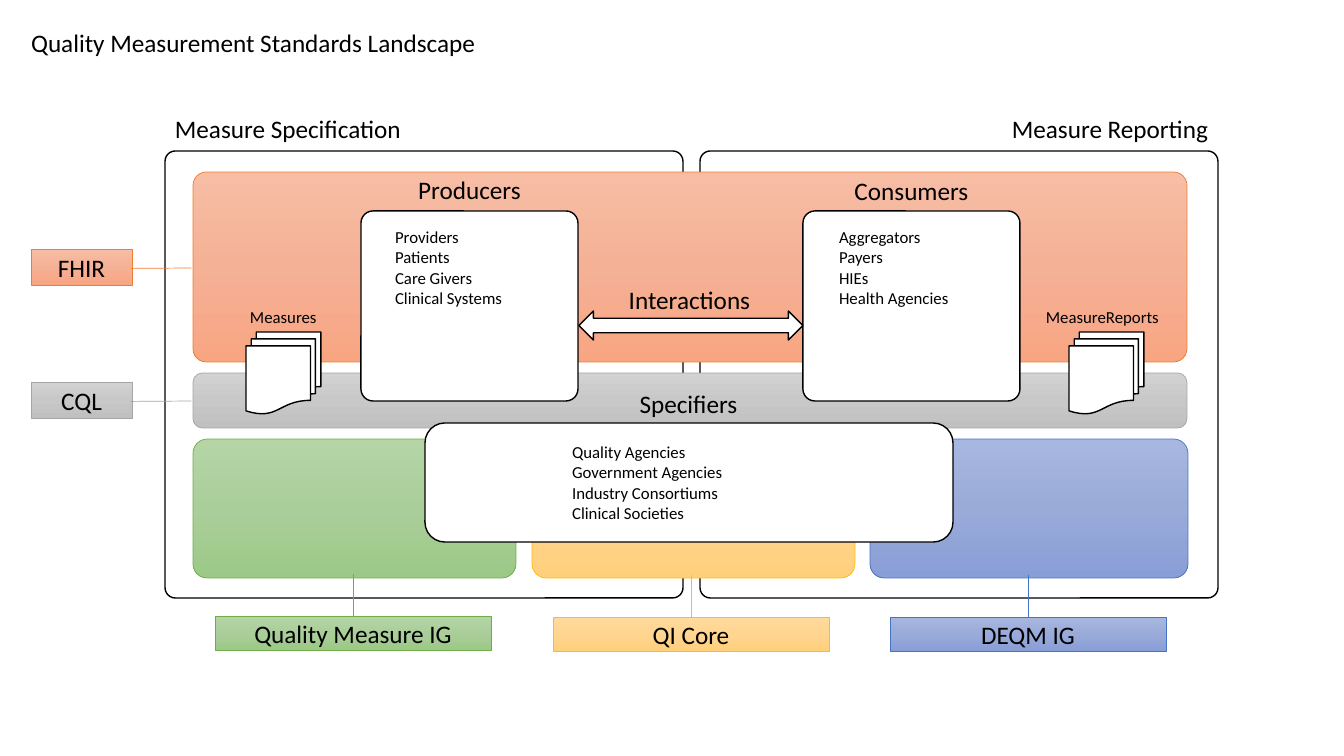
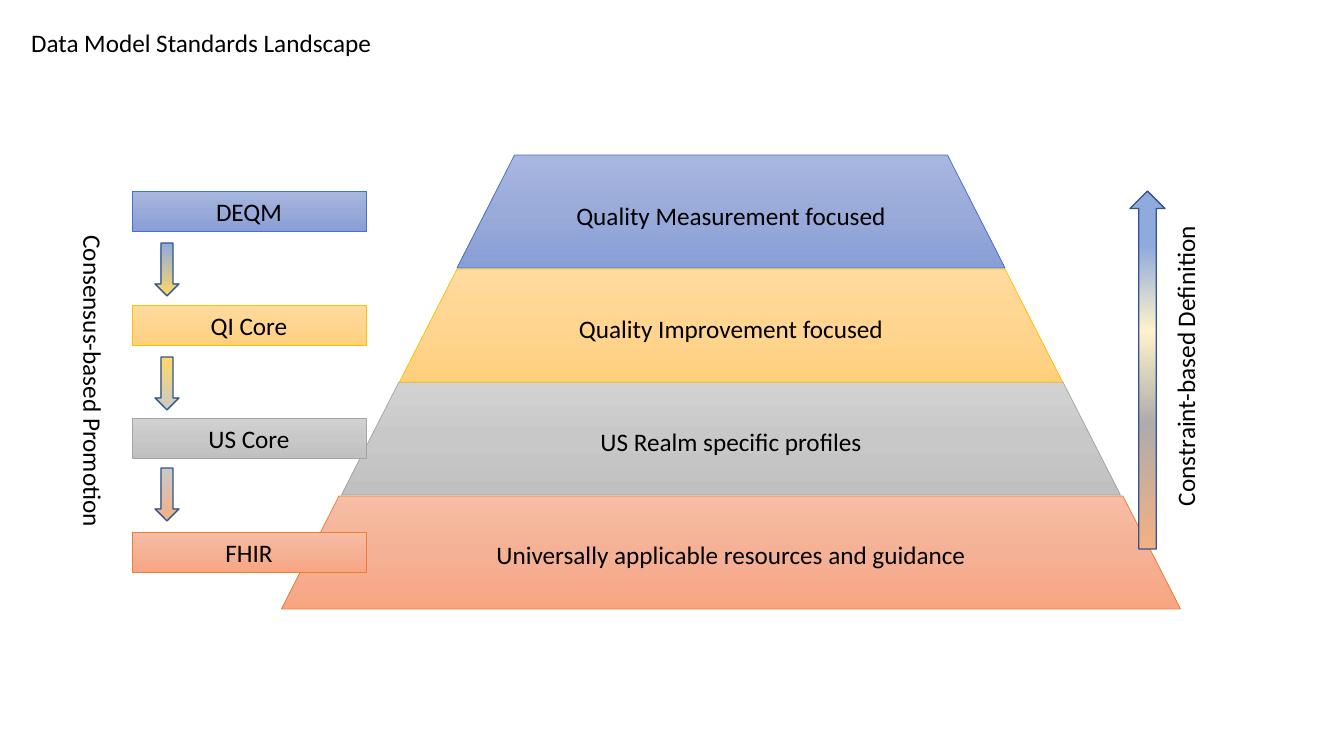
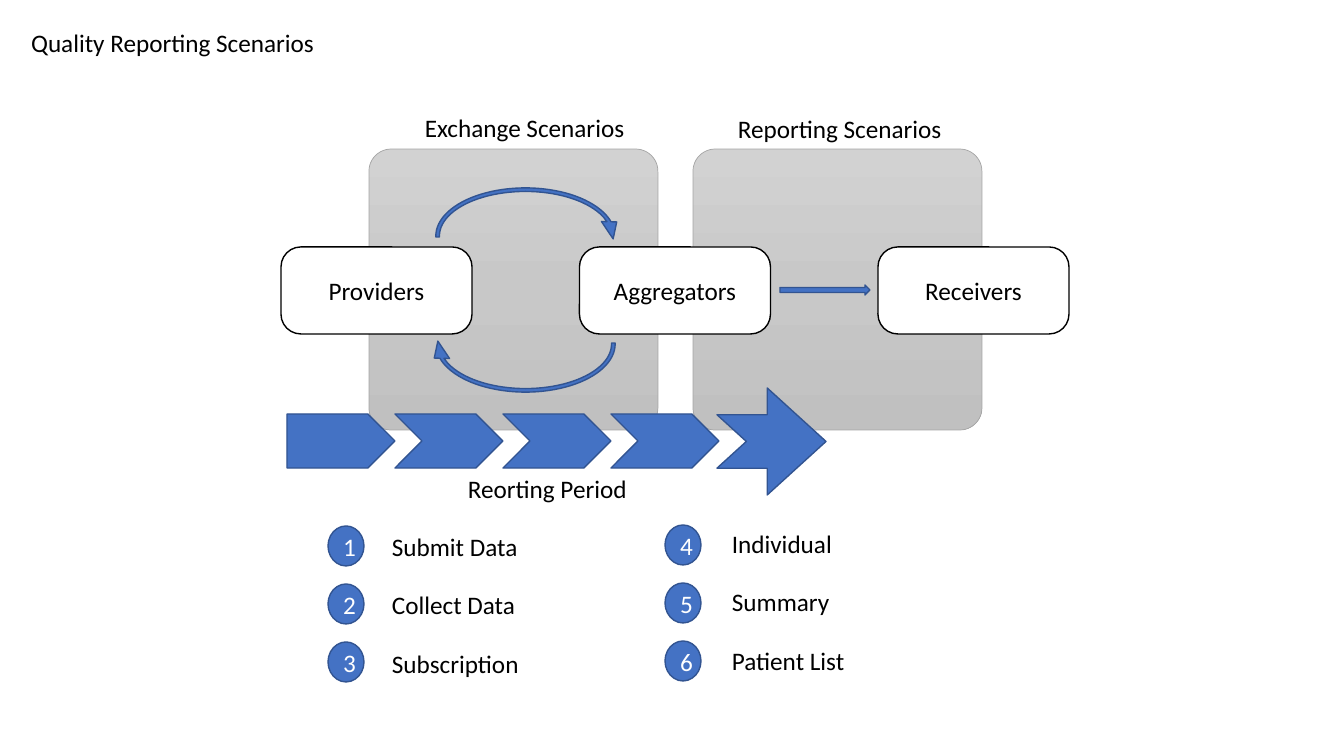
from dataclasses import dataclass

from lxml import etree
from pptx import Presentation
from pptx import util as u
from pptx.dml import color
from pptx.enum import shapes, text
from pptx.oxml import ns

KIND = shapes.MSO_SHAPE
ALIGN = text.PP_ALIGN


# Theme: every colour and type size
@dataclass(frozen=True)
class Tone:
    fill: tuple  # gradient stops: (percent, colour)
    line: str
    weight: float = 0.5
    ink: str = "000000"


def shade(top, middle, bottom, line):
    return Tone(((0, top), (50, middle), (100, bottom)), line)


@dataclass(frozen=True)
class Theme:
    font: str = "Calibri"
    ink: str = "000000"
    size: int = 18
    small: int = 12
    orange: Tone = shade("F7BDA5", "F5B196", "F8A582", "ED7D31")
    grey: Tone = shade("D2D2D2", "C8C8C8", "C0C0C0", "A5A5A5")
    gold: Tone = shade("FFDB9E", "FFD590", "FFD07C", "FFC000")
    green: Tone = shade("B5D5A7", "AACE9A", "9CC987", "70AD47")
    blue: Tone = shade("A8B7DF", "9AABD9", "889ED7", "4472C4")
    white: Tone = Tone(((0, "FFFFFF"),), "000000", 1)
    solid: Tone = Tone(((0, "4472C4"),), "325491", 1, "FFFFFF")

    def blend(self, *stops):
        return Tone(stops, self.solid.line, self.solid.weight)


T = Theme()


def px(n):
    return u.Emu(round(n * 914400 / 100.8))


def rgb(value):
    return color.RGBColor.from_string(value)


class Deck:
    """Holds the style and the current slide."""

    def __init__(self, theme):
        self.theme = theme
        self.prs = Presentation()
        self.prs.slide_width, self.prs.slide_height = px(1344), px(756)

    def slide(self, title, width, layout="Title Only"):
        self.s = self.prs.slides.add_slide(
            self.prs.slide_layouts.get_by_name(layout))
        self.bodies = [b for b in self.s.placeholders
                       if b.placeholder_format.idx > 0]
        sp = self.s.shapes.title
        self.place(sp, 21, 22, width, 40)
        self.set_text(sp, [title], wrap=False)

    def place(self, sp, x, y, w, h):
        sp.left, sp.top, sp.width, sp.height = px(x), px(y), px(w), px(h)

    def set_text(self, sp, lines, size=None, align=ALIGN.LEFT, ink=None,
                 anchor=text.MSO_ANCHOR.TOP, wrap=True):
        tf = sp.text_frame
        tf.word_wrap, tf.vertical_anchor = wrap, anchor
        tf.auto_size = text.MSO_AUTO_SIZE.NONE
        if not wrap:
            tf.auto_size = text.MSO_AUTO_SIZE.SHAPE_TO_FIT_TEXT
        for i, line in enumerate(lines):
            p = tf.add_paragraph() if i else tf.paragraphs[0]
            p.alignment = align
            p.space_before, p.line_spacing = u.Pt(0), 1.0
            r = p.add_run()
            r.text = line
            r.font.name, r.font.bold = self.theme.font, False
            r.font.size = u.Pt(size or self.theme.size)
            r.font.color.rgb = rgb(ink or self.theme.ink)

    def label(self, words, x, y, w, h=40, size=None, align=ALIGN.LEFT,
              wrap=True, turn=0):
        sp = self.s.shapes.add_textbox(px(x), px(y), px(w), px(h))
        sp.rotation = turn
        self.set_text(sp, [words], size, align, wrap=wrap)

    def listing(self, lines, x, y, w, h):
        sp = self.bodies.pop(0)
        self.s.shapes._spTree.append(sp._element)  # bring to front
        self.place(sp, x, y, w, h)
        self.set_text(sp, lines, self.theme.small)
        for p in sp.text_frame.paragraphs:
            pPr = p._p.get_or_add_pPr()
            pPr.set("marL", "0")
            pPr.set("indent", "0")
            etree.SubElement(pPr, ns.qn("a:buNone"))

    def shape(self, kind, x, y, w, h, tone, words=None, adj=(), turn=0):
        sp = self.s.shapes.add_shape(kind, px(x), px(y), px(w), px(h))
        sp.shadow.inherit = False
        sp.rotation = turn
        for i, value in enumerate(adj):
            sp.adjustments[i] = value
        self.paint(sp, tone)
        if words:
            self.set_text(sp, [words], align=ALIGN.CENTER, ink=tone.ink,
                          anchor=text.MSO_ANCHOR.MIDDLE)

    def paint(self, sp, tone):
        sp.line.color.rgb, sp.line.width = rgb(tone.line), u.Pt(tone.weight)
        if len(tone.fill) == 1:
            sp.fill.solid()
            sp.fill.fore_color.rgb = rgb(tone.fill[0][1])
            return
        sp.fill.gradient()
        sp.fill.gradient_angle = 270
        stops = sp._element.spPr.find(".//" + ns.qn("a:gsLst"))
        for old in list(stops):
            stops.remove(old)
        for percent, value in tone.fill:
            gs = etree.SubElement(stops, ns.qn("a:gs"), pos=str(percent * 1000))
            etree.SubElement(gs, ns.qn("a:srgbClr"), val=value)

    def finish(self):
        for sp in self.bodies:
            sp._element.getparent().remove(sp._element)
        self.bodies = []


d = Deck(T)

# Slide 1: measurement standards
d.slide("Quality Measurement Standards Landscape", 470, "Comparison")

# Frames and coloured bands
for x in (165, 700):
    d.shape(KIND.ROUNDED_RECTANGLE, x, 151, 518, 447, T.white, adj=[0.023])
for x, y, w, h, tone, corner in (
        (193, 373, 994, 55, T.grey, 0.167), (870, 439, 318, 139, T.blue, 0.103),
        (532, 439, 323, 139, T.gold, 0.103), (193, 439, 323, 139, T.green, 0.103),
        (193, 172, 994, 190, T.orange, 0.071)):
    d.shape(KIND.ROUNDED_RECTANGLE, x, y, w, h, tone, adj=[corner])
d.label("Measure Specification", 165, 108, 338)
d.label("Measure Reporting", 938, 108, 280, align=ALIGN.RIGHT)

# Producers, consumers and their interactions
for name, x, y, list_x, members in (
        ("Producers", 361, 169, 385,
         ["Providers", "Patients", "Care Givers", "Clinical Systems"]),
        ("Consumers", 803, 170, 829,
         ["Aggregators", "Payers", "HIEs", "Health Agencies"])):
    d.shape(KIND.ROUNDED_RECTANGLE, x, 211, 217, 190, T.white, adj=[0.063])
    d.label(name, x, y, 217, align=ALIGN.CENTER)
    d.listing(members, list_x, 222, 137, 92)
d.shape(KIND.LEFT_RIGHT_ARROW, 579, 311, 224, 29, T.white)
d.label("Interactions", 611, 279, 157, align=ALIGN.CENTER)

# Documents
for name, x, label_x, label_w in (("Measures", 246, 240, 88),
                                  ("MeasureReports", 1069, 1036, 142)):
    d.shape(KIND.FLOWCHART_MULTIDOCUMENT, x, 332, 75, 82, T.white)
    d.label(name, label_x, 302, label_w, 30, T.small)

# Specifiers
d.shape(KIND.ROUNDED_RECTANGLE, 425, 423, 528, 119, T.white)
d.label("Specifiers", 580, 383, 217, align=ALIGN.CENTER)
d.listing(["Quality Agencies", "Government Agencies", "Industry Consortiums",
           "Clinical Societies"], 562, 437, 217, 92)

# Callouts naming the standards
SIDE, UP = (0.54, 0.986, 0.529, 1.589), (0.001, 0.5, -1.238, 0.5)
for name, x, y, w, h, tone, leader in (
        ("FHIR", 31, 249, 101, 36, T.orange, SIDE),
        ("CQL", 31, 382, 101, 36, T.grey, SIDE),
        ("Quality Measure IG", 215, 616, 276, 34, T.green, UP),
        ("QI Core", 553, 617, 276, 34, T.gold, UP),
        ("DEQM IG", 890, 617, 276, 34, T.blue, UP)):
    d.shape(KIND.LINE_CALLOUT_1, x, y, w, h, tone, name, leader)
d.finish()

# Slide 2: data model standards
d.slide("Data Model Standards Landscape", 365)

# Pyramid tiers with their standard, bottom first
for y, w, tone, focus, standard in (
        (496, 899, T.orange, "Universally applicable resources and guidance", "FHIR"),
        (382, 779, T.grey, "US Realm specific profiles", "US Core"),
        (269, 663, T.gold, "Quality Improvement focused", "QI Core"),
        (155, 548, T.blue, "Quality Measurement focused", "DEQM")):
    d.shape(KIND.TRAPEZOID, 731 - w / 2, y, w, 113, tone, focus, [0.509])
    d.shape(KIND.RECTANGLE, 132, y + 36, 234, 40, tone, standard)

# Definition arrow, promotion arrows
d.shape(KIND.DOWN_ARROW, 1130, 191, 35, 358,
        T.blend((0, "F4B183"), (35, "AFABAB"), (61, "FFF2CC"), (85, "8FAADC")),
        turn=180)
d.label("Constraint-based Definition", 1033, 344, 304, wrap=False, turn=270)
for y, start, end in ((243, "8FAADC", "FFD966"), (357, "FFD966", "C9C9C9"),
                      (468, "C9C9C9", "F4B183")):
    d.shape(KIND.DOWN_ARROW, 155, y, 24, 53, T.blend((0, start), (100, end)))
d.label("Consensus-based Promotion", -64, 363, 315, wrap=False, turn=90)
d.finish()

# Slide 3: reporting scenarios
d.slide("Quality Reporting Scenarios", 306)

# Panels and actors
for name, x, label_x, label_y, label_w in (
        ("Reporting Scenarios", 693, 728, 108, 227),
        ("Exchange Scenarios", 369, 415, 107, 222)):
    d.shape(KIND.ROUNDED_RECTANGLE, x, 149, 289, 281, T.grey, adj=[0.079])
    d.label(name, label_x, label_y, label_w, wrap=False)
for i, actor in enumerate(("Providers", "Aggregators", "Receivers")):
    d.shape(KIND.ROUNDED_RECTANGLE, 281 + 298.5 * i, 247, 191, 87, T.white,
            actor, [0.228])

# Exchange loop and reporting arrow
for y, turn in ((182, 0), (290, 180)):
    d.shape(KIND.CIRCULAR_ARROW, 430, y, 191, 108, T.solid,
            adj=(0.033, 6.971, 210.184, 107.603, 0.071), turn=turn)
d.shape(KIND.RIGHT_ARROW, 780, 285, 90, 10, T.solid)

# Reporting period
for i in range(4):
    d.shape(KIND.CHEVRON if i else KIND.PENTAGON, 287 + 108 * i, 414, 108, 54,
            T.solid)
d.shape(KIND.NOTCHED_RIGHT_ARROW, 717, 388, 109, 107, T.solid, adj=(0.5, 0.549))
d.label("Reorting Period", 458, 468, 183)

# Numbered scenarios
for first, x, y, label_x, label_y, scenarios in (
        (1, 328, 526, 382, 526, (("Submit Data", 147), ("Collect Data", 145),
                                 ("Subscription", 148))),
        (4, 665, 525, 722, 523, (("Individual", 122), ("Summary", 119),
                                 ("Patient List", 134)))):
    for i, (name, w) in enumerate(scenarios):
        d.shape(KIND.OVAL, x, y + 58 * i, 36, 40, T.solid, str(first + i))
        d.label(name, label_x, label_y + 58.5 * i, w, wrap=False)
d.finish()

d.prs.save("out.pptx")
